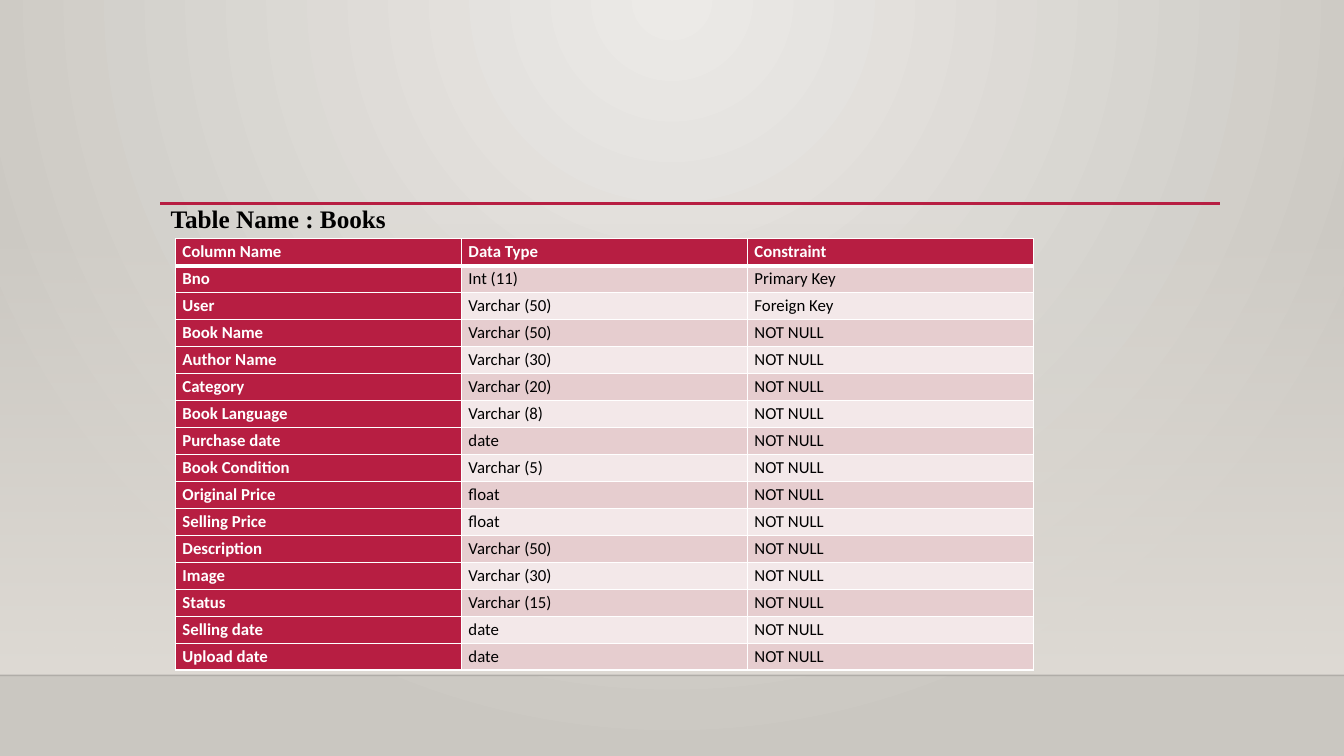
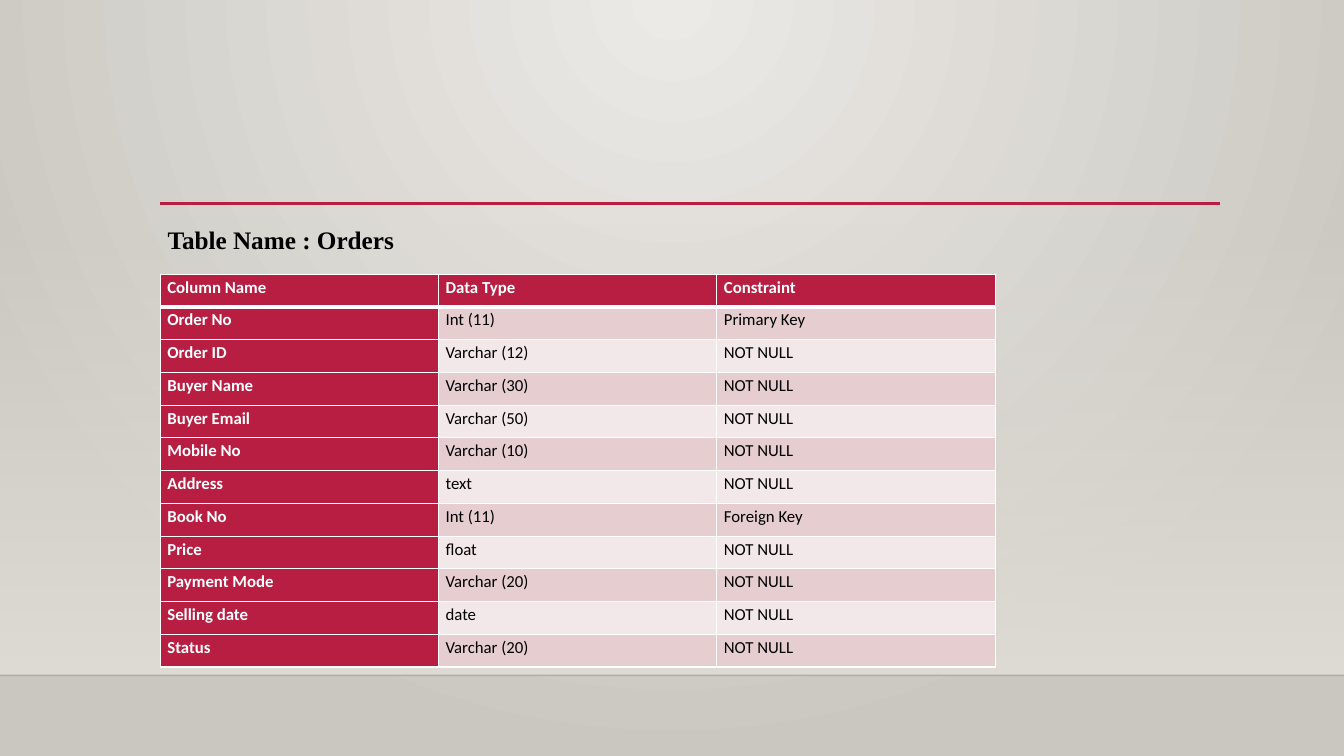
"""Build two slides that describe the Books and Orders database tables."""
from dataclasses import dataclass

from lxml import etree
from pptx import Presentation
from pptx import util as u
from pptx.dml.color import RGBColor
from pptx.dml.fill import FillFormat
from pptx.enum import shapes, text
from pptx.oxml import ns
from pptx.shapes.connector import Connector
from pptx.slide import Slide, SlideLayout
from pptx.table import _Cell


@dataclass(frozen=True)
class Theme:
    """Colours, fonts and type sizes of the deck."""

    accent: str = "B71E42"
    white: str = "FFFFFF"
    ink: str = "000000"
    bands: tuple[str, str] = ("E6CDCF", "F3E8E9")
    backdrop: tuple[str, str] = ("ECEAE7", "CAC7C1")
    floor: str = "DFDBD5"
    title_font: str = "Times New Roman"
    cell_font: str = "Calibri"
    title_size: float = 18
    cell_size: float = 12


@dataclass(frozen=True)
class Box:
    """A position and size in inches."""

    left: float
    top: float
    width: float
    height: float

    def lengths(self) -> tuple[u.Length, ...]:
        """Return the four measures as lengths."""
        return tuple(u.Inches(v) for v in (self.left, self.top, self.width, self.height))


@dataclass(frozen=True)
class TablePage:
    """A slide with one table definition."""

    title: str
    title_box: Box
    table_box: Box
    fields: tuple[tuple[str, str, str], ...]


THEME = Theme()
PAGE_WIDTH, PAGE_HEIGHT = 13.33, 7.5
FLOOR_BOX = Box(0, 2.21, PAGE_WIDTH, 4.49)
HEADINGS = ("Column Name", "Data Type", "Constraint")
REQUIRED = "NOT NULL"

PAGES = (
    TablePage("Table Name : Books", Box(1.58, 1.97, 2.36, 0.4), Box(1.74, 2.37, 8.51, 4.28), (
        ("Bno", "Int (11)", "Primary Key"),
        ("User", "Varchar (50)", "Foreign Key"),
        ("Book Name", "Varchar (50)", REQUIRED),
        ("Author Name", "Varchar (30)", REQUIRED),
        ("Category", "Varchar (20)", REQUIRED),
        ("Book Language", "Varchar (8)", REQUIRED),
        ("Purchase date", "date", REQUIRED),
        ("Book Condition", "Varchar (5)", REQUIRED),
        ("Original Price", "float", REQUIRED),
        ("Selling Price", "float", REQUIRED),
        ("Description", "Varchar (50)", REQUIRED),
        ("Image", "Varchar (30)", REQUIRED),
        ("Status", "Varchar (15)", REQUIRED),
        ("Selling date", "date", REQUIRED),
        ("Upload date", "date", REQUIRED),
    )),
    TablePage("Table Name : Orders", Box(1.55, 2.18, 2.47, 0.4), Box(1.59, 2.72, 8.28, 3.9), (
        ("Order No", "Int (11)", "Primary Key"),
        ("Order ID", "Varchar (12)", REQUIRED),
        ("Buyer Name", "Varchar (30)", REQUIRED),
        ("Buyer Email", "Varchar (50)", REQUIRED),
        ("Mobile No", "Varchar (10)", REQUIRED),
        ("Address", "text", REQUIRED),
        ("Book No", "Int (11)", "Foreign Key"),
        ("Price", "float", REQUIRED),
        ("Payment Mode", "Varchar (20)", REQUIRED),
        ("Selling date", "date", REQUIRED),
        ("Status", "Varchar (20)", REQUIRED),
    )),
)


def rgb(value: str) -> RGBColor:
    """Turn a hex value into a colour."""
    return RGBColor.from_string(value)


def add_child(parent: etree._Element, tag: str, **attributes: str) -> etree._Element:
    """Append a drawing element to its parent."""
    return etree.SubElement(parent, ns.qn(tag), **attributes)


def set_gradient(fill: FillFormat, colors: tuple[str, str]) -> None:
    """Give a fill two gradient stops."""
    fill.gradient()
    for stop, color in zip(fill.gradient_stops, colors):
        stop.color.rgb = rgb(color)


def set_alpha(element: etree._Element, percent: int) -> None:
    """Set the opacity of the first colour inside an element."""
    color = next(element.iter(ns.qn("a:srgbClr")))
    add_child(color, "a:alpha", val=str(percent * 1000))


def set_background(layout: SlideLayout) -> None:
    """Fill the layout with a glow from the top centre."""
    set_gradient(layout.background.fill, THEME.backdrop)
    gradient = next(layout.element.iter(ns.qn("a:gradFill")))
    gradient.remove(gradient.find(ns.qn("a:lin")))
    glow = add_child(gradient, "a:path", path="circle")
    add_child(glow, "a:fillToRect", l="43000", t="0", r="43000", b="100000")


def add_rule(slide: Slide, left: float, right: float, top: float,
             color: str, width: float) -> Connector:
    """Draw a horizontal rule without a shadow."""
    rule = slide.shapes.add_connector(
        shapes.MSO_CONNECTOR.STRAIGHT,
        u.Inches(left), u.Inches(top), u.Inches(right), u.Inches(top))
    rule.line.color.rgb = rgb(color)
    rule.line.width = u.Pt(width)
    add_child(rule.element.spPr, "a:effectLst")
    return rule


def move_decor_to_layout(slide: Slide, layout: SlideLayout) -> None:
    """Draw the shared floor and rules and move them to the layout."""
    floor = slide.shapes.add_shape(shapes.MSO_SHAPE.RECTANGLE, *FLOOR_BOX.lengths())
    floor.shadow.inherit = False
    floor.line.fill.background()
    set_gradient(floor.fill, (THEME.floor, THEME.floor))
    floor.fill.gradient_angle = 270
    set_alpha(floor.element.spPr, 0)
    edge = add_rule(slide, 0, PAGE_WIDTH, FLOOR_BOX.top + FLOOR_BOX.height, THEME.ink, 1)
    set_alpha(edge.element.spPr, 20)
    accent = add_rule(slide, 1.59, 12.1, 2.02, THEME.accent, 2.5)
    for index, shape in enumerate((floor, edge, accent)):
        next(shape.element.iter(ns.qn("p:cNvPr"))).set("id", str(100 + index))
        layout.shapes.element.insert(2 + index, shape.element)


def add_span(para: text, content: str, font: str, size: float, color: str, bold: bool) -> None:
    """Add one formatted run to a paragraph."""
    span = para.add_run()
    span.text = content
    span.font.name = font
    span.font.size = u.Pt(size)
    span.font.bold = bold
    span.font.color.rgb = rgb(color)


def set_title(slide: Slide, page: TablePage) -> None:
    """Place and format the slide title."""
    title = slide.shapes.title
    title.left, title.top, title.width, title.height = page.title_box.lengths()
    frame = title.text_frame
    frame.word_wrap = False
    frame.auto_size = text.MSO_AUTO_SIZE.SHAPE_TO_FIT_TEXT
    frame.vertical_anchor = text.MSO_ANCHOR.TOP
    para = frame.paragraphs[0]
    para.alignment = text.PP_ALIGN.CENTER
    add_span(para, page.title, THEME.title_font, THEME.title_size, THEME.ink, True)


def set_borders(cell: _Cell, top: float, bottom: float) -> None:
    """Draw white borders around a cell."""
    properties = cell._tc.get_or_add_tcPr()
    for side, width in (("L", 1), ("R", 1), ("T", top), ("B", bottom)):
        line = add_child(properties, f"a:ln{side}", w=str(u.Pt(width)))
        add_child(add_child(line, "a:solidFill"), "a:srgbClr", val=THEME.white)


def format_cell(cell: _Cell, content: str, row: int, column: int) -> None:
    """Write a cell as a heading or as banded body text."""
    heading = row == 0 or column == 0
    set_borders(cell, top=3 if row == 1 else 1, bottom=3 if row == 0 else 1)
    cell.fill.solid()
    cell.fill.fore_color.rgb = rgb(THEME.accent if heading else THEME.bands[(row - 1) % 2])
    cell.margin_left = cell.margin_right = u.Inches(0.07)
    cell.margin_top = cell.margin_bottom = 0
    para = cell.text_frame.paragraphs[0]
    para.line_spacing = 1.15
    para.space_after = u.Pt(10)
    color = THEME.white if heading else THEME.ink
    add_span(para, content, THEME.cell_font, THEME.cell_size, color, heading)


def add_field_table(slide: Slide, page: TablePage) -> None:
    """Add the table of fields with equal rows and columns."""
    records = (HEADINGS, *page.fields)
    box = page.table_box
    table = slide.shapes.add_table(len(records), len(HEADINGS), *box.lengths()).table
    for column in table.columns:
        column.width = u.Inches(box.width / len(HEADINGS))
    for row, record in enumerate(records):
        table.rows[row].height = u.Inches(box.height / len(records))
        for column, content in enumerate(record):
            format_cell(table.cell(row, column), content, row, column)


def main() -> None:
    """Build and save the deck."""
    deck = Presentation()
    deck.slide_width, deck.slide_height = u.Inches(PAGE_WIDTH), u.Inches(PAGE_HEIGHT)
    layout = deck.slide_layouts.get_by_name("Title Only")
    set_background(layout)
    slides = [deck.slides.add_slide(layout) for _ in PAGES]
    move_decor_to_layout(slides[0], layout)
    for slide, page in zip(slides, PAGES):
        set_title(slide, page)
        add_field_table(slide, page)
    deck.save("out.pptx")


if __name__ == "__main__":
    main()
